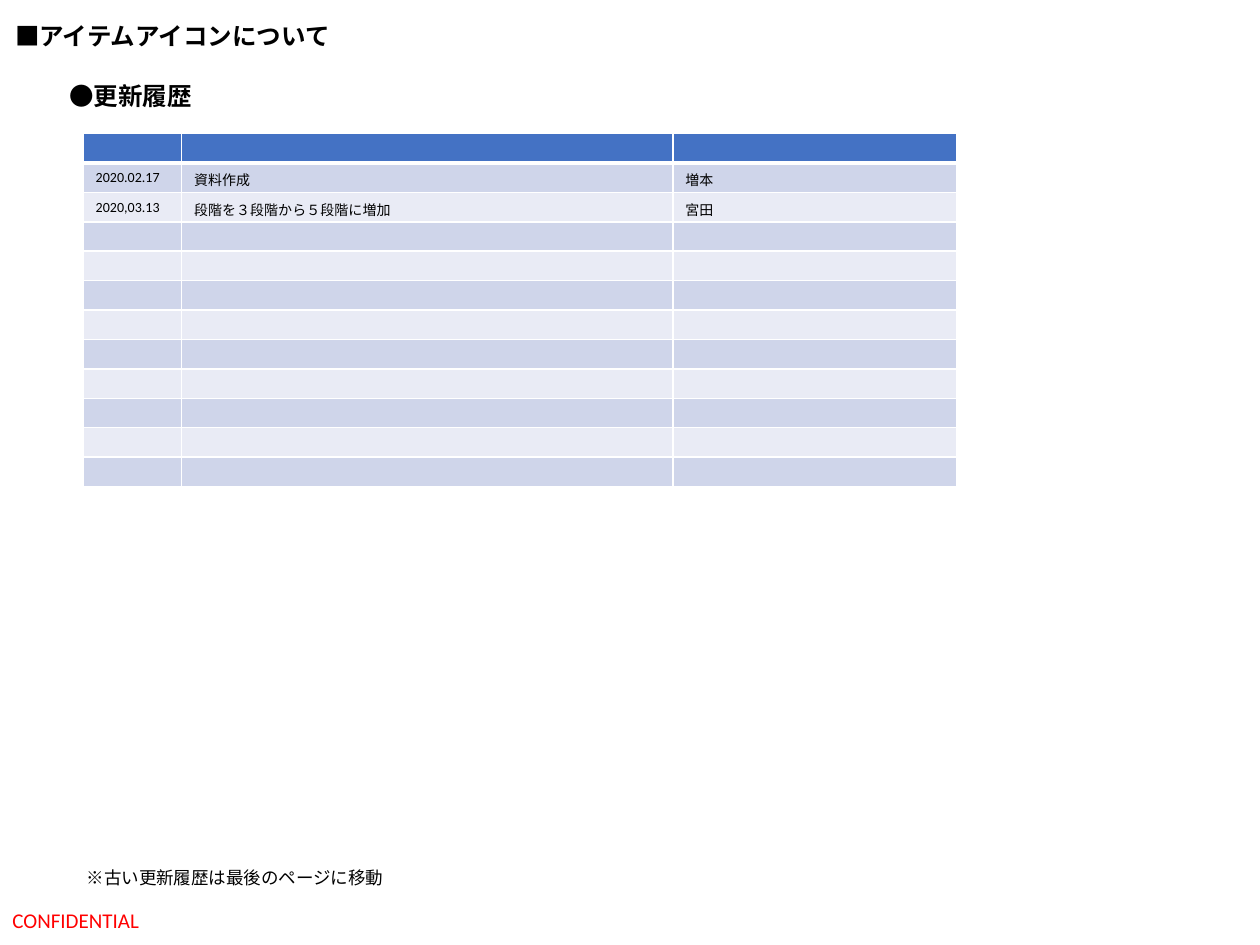
"""Build the update history slide for the item icon document."""
from lxml import etree
from pptx import Presentation
from pptx.dml.color import RGBColor
from pptx.enum.text import MSO_ANCHOR, MSO_AUTO_SIZE, PP_ALIGN
from pptx.oxml.ns import qn
from pptx.util import Inches, Pt

TOP, MIDDLE = MSO_ANCHOR.TOP, MSO_ANCHOR.MIDDLE
GROW, FIXED = MSO_AUTO_SIZE.SHAPE_TO_FIT_TEXT, MSO_AUTO_SIZE.NONE
LEFT = PP_ALIGN.LEFT
BLACK = RGBColor(0x00, 0x00, 0x00)
RED = RGBColor(0xFF, 0x00, 0x00)
WHITE = RGBColor(0xFF, 0xFF, 0xFF)
HEADER = RGBColor(0x44, 0x72, 0xC4)
BANDS = (RGBColor(0xE9, 0xEB, 0xF5), RGBColor(0xCF, 0xD5, 0xEA))

TITLE = ("■アイテムアイコンについて", (0.02, 0.12, 2.75, 0.34), 14, "Arial", True, BLACK)
LABELS = [
    ("CONFIDENTIAL", (0, 7.1, 3.38, 0.4), 12, "Calibri", False, RED, False),
    ("●更新履歴", (0.45, 0.59, 1.18, 0.34), 14, "Calibri", True, BLACK, True),
    ("※古い更新履歴は最後のページに移動", (0.59, 6.83, 2.59, 0.27), 10, "Calibri", False, BLACK, True),
]
HISTORY = [
    ("", "", ""),
    ("2020.02.17", "資料作成", "増本"),
    ("2020,03.13", "段階を３段階から５段階に増加", "宮田"),
]
ROW_COUNT = 12
COLUMN_WIDTHS = (0.78, 3.9, 2.25)
TABLE_LEFT, TABLE_TOP, TABLE_HEIGHT = 0.66, 1.06, 2.8
CELL_SIZE = 8


def add_text(para, text, size, font, bold, color):
    para.alignment = LEFT
    span = para.add_run()
    span.text = text
    span.font.size = Pt(size)
    span.font.name = font
    span.font.bold = bold
    span.font.color.rgb = color


def fill_box(box, text, place, size, font, bold, color, fits=True):
    box.left, box.top, box.width, box.height = map(Inches, place)
    frame = box.text_frame
    frame.word_wrap = not fits
    frame.auto_size = GROW if fits else FIXED
    frame.vertical_anchor = TOP if fits else MIDDLE
    add_text(frame.paragraphs[0], text, size, font, bold, color)


def set_borders(cell, widths):
    properties = cell._tc.get_or_add_tcPr()
    for side, width in widths.items():
        line = etree.SubElement(properties, qn(f"a:ln{side}"), w=str(Pt(width)))
        paint = etree.SubElement(line, qn("a:solidFill"))
        etree.SubElement(paint, qn("a:srgbClr"), val=str(WHITE))


def add_history(page):
    frame = page.shapes.add_table(
        ROW_COUNT, len(COLUMN_WIDTHS), Inches(TABLE_LEFT), Inches(TABLE_TOP),
        Inches(sum(COLUMN_WIDTHS)), Inches(TABLE_HEIGHT))
    table = frame.table
    for column, width in zip(table.columns, COLUMN_WIDTHS):
        column.width = Inches(width)
    for r, row in enumerate(table.rows):
        row.height = Inches(TABLE_HEIGHT / ROW_COUNT)
        texts = HISTORY[r] if r < len(HISTORY) else HISTORY[0]
        for cell, text in zip(row.cells, texts):
            set_borders(cell, {"L": 1, "R": 1, "T": 3 if r == 1 else 1, "B": 3 if r == 0 else 1})
            cell.fill.solid()
            cell.fill.fore_color.rgb = BANDS[r % 2] if r else HEADER
            para = cell.text_frame.paragraphs[0]
            if text:
                add_text(para, text, CELL_SIZE, "Calibri", False, BLACK)
            else:
                etree.SubElement(para._p, qn("a:endParaRPr"), sz=str(CELL_SIZE * 100))


deck = Presentation()
deck.slide_width, deck.slide_height = Inches(10), Inches(7.5)
page = deck.slides.add_slide(deck.slide_layouts[5])
fill_box(page.shapes.title, *TITLE)
for label in LABELS:
    fill_box(page.shapes.add_textbox(0, 0, 0, 0), *label)
add_history(page)
deck.save("out.pptx")
